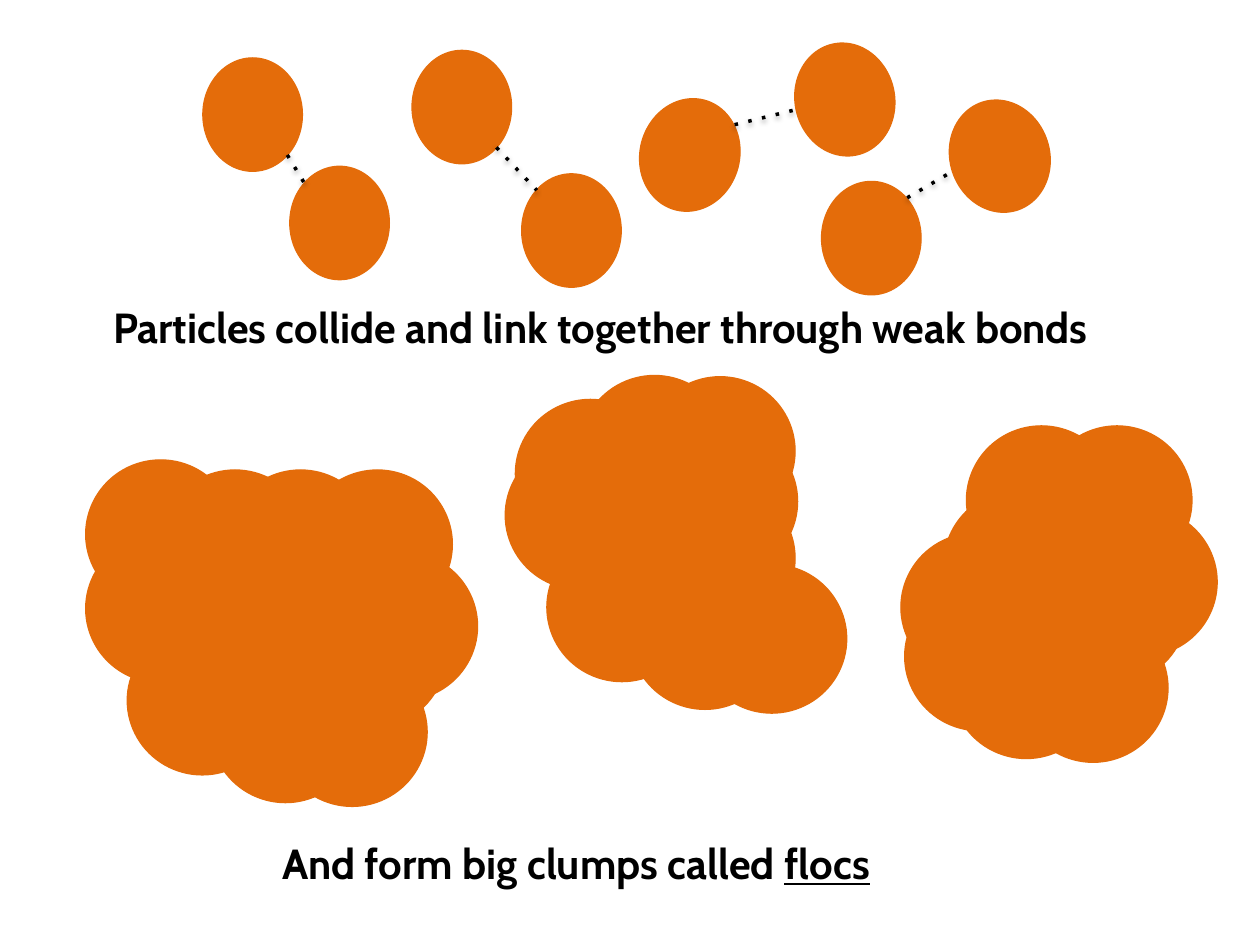
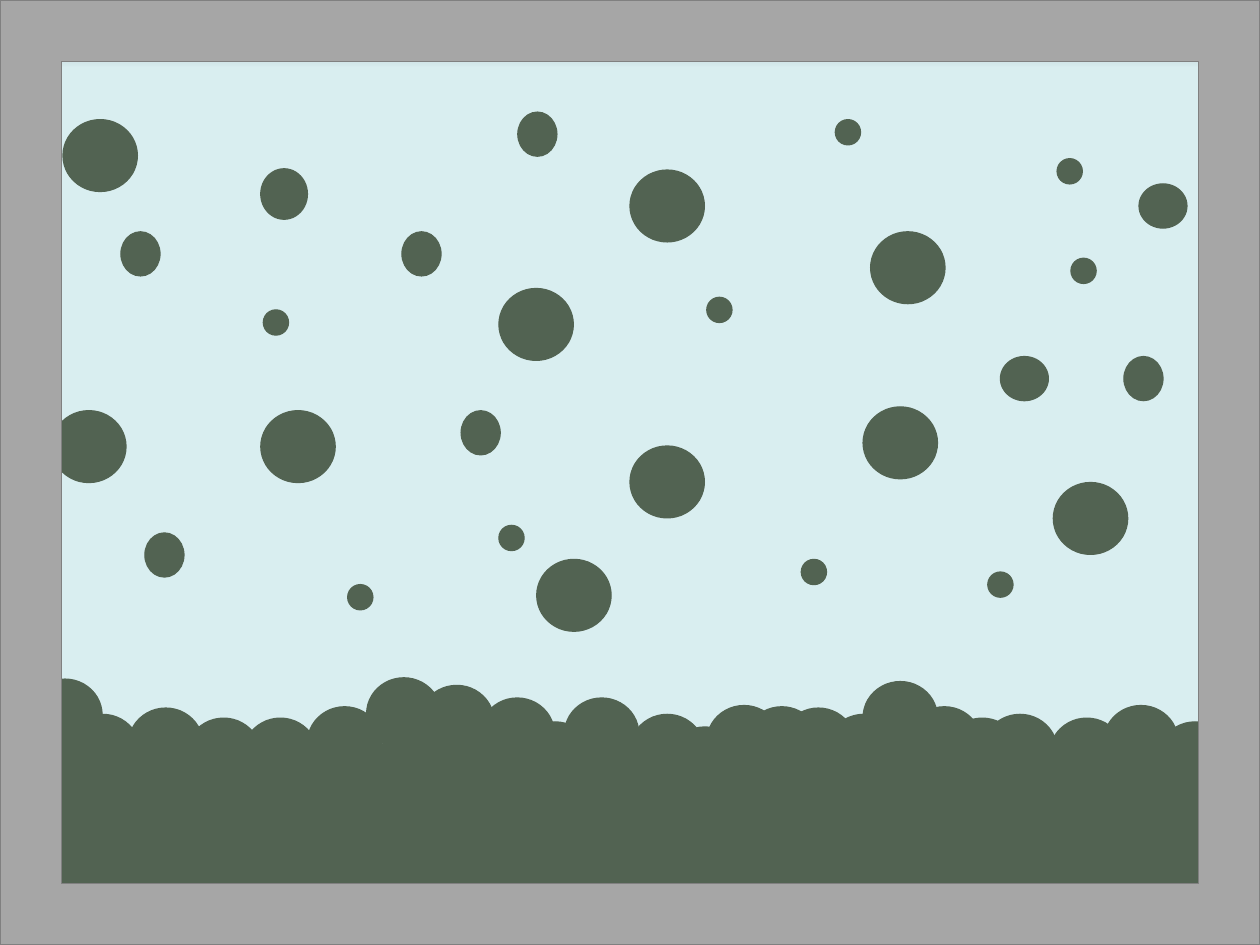
import lxml.etree
import pptx
import pptx.dml.color
import pptx.enum.dml
import pptx.enum.shapes
import pptx.enum.text
import pptx.oxml.ns
import pptx.util

SCALE = 9144
qn = pptx.oxml.ns.qn
SHAPE = pptx.enum.shapes.MSO_SHAPE

PARTICLE = "E46C0A"
SLUDGE = "4A452A"
WATER = "8CF2FF"
FRAME = "A6A6A6"
FRAME_EDGE = "808080"
BLACK = "000000"
CAPTION = {"size": pptx.util.Pt(24), "name": "Cabin", "bold": True}
BOND_SHADOW = {"alpha": 38, "blur": 3.1, "dist": 1.6}
PANEL_SHADOW = {"alpha": 35, "blur": 3.1, "dist": 1.8}


def px(n):
    return pptx.util.Emu(n * SCALE)


def rgb(value):
    return pptx.dml.color.RGBColor.from_string(value)


class Deck:
    def __init__(self, width, height):
        self.prs = pptx.Presentation()
        self.prs.slide_width, self.prs.slide_height = px(width), px(height)
        self.s = None

    def slide(self):
        self.s = self.prs.slides.add_slide(self.prs.slide_layouts[6])

    def shadow(self, sp, alpha, blur, dist):
        spPr = sp._element.spPr
        effects = spPr.find(qn("a:effectLst"))
        if effects is None:
            effects = lxml.etree.SubElement(spPr, qn("a:effectLst"))
        outer = lxml.etree.SubElement(
            effects, qn("a:outerShdw"), blurRad=str(pptx.util.Pt(blur)),
            dist=str(pptx.util.Pt(dist)), dir="5400000", rotWithShape="0")
        color = lxml.etree.SubElement(outer, qn("a:srgbClr"), val=BLACK)
        lxml.etree.SubElement(color, qn("a:alpha"), val=str(alpha * 1000))

    def shape(self, kind, x, y, w, h, fill, line=None, rotation=0, alpha=None, shadow=None):
        sp = self.s.shapes.add_shape(kind, px(x), px(y), px(w), px(h))
        sp.rotation = rotation
        sp.shadow.inherit = False
        sp.fill.solid()
        sp.fill.fore_color.rgb = rgb(fill)
        sp.line.color.rgb = rgb(line or fill)
        sp.line.width = pptx.util.Pt(0.75)
        if alpha is not None:
            color = sp._element.spPr.find(qn("a:solidFill"))[0]
            lxml.etree.SubElement(color, qn("a:alpha"), val=str(alpha * 1000))
        if shadow:
            self.shadow(sp, **shadow)
        return sp

    def ellipses(self, size, places, fill):
        for x, y in places:
            self.shape(SHAPE.OVAL, x, y, *size, fill)

    def bond(self, x1, y1, x2, y2):
        cn = self.s.shapes.add_connector(
            pptx.enum.shapes.MSO_CONNECTOR.STRAIGHT, px(x1), px(y1), px(x2), px(y2))
        cn.line.color.rgb = rgb(BLACK)
        cn.line.width = pptx.util.Pt(2)
        cn.line.dash_style = pptx.enum.dml.MSO_LINE.ROUND_DOT
        cn._element.spPr.find(qn("a:ln")).find(qn("a:prstDash")).set("val", "dot")
        self.shadow(cn, **BOND_SHADOW)

    def caption(self, x, y, w, h, *runs):
        tb = self.s.shapes.add_textbox(px(x), px(y), px(w), px(h))
        tf = tb.text_frame
        tf.word_wrap = True
        tf.auto_size = pptx.enum.text.MSO_AUTO_SIZE.SHAPE_TO_FIT_TEXT
        p = tf.paragraphs[0]
        for text, extra in runs:
            r = p.add_run()
            r.text = text
            r.font.color.rgb = rgb(BLACK)
            for key, value in {**CAPTION, **extra}.items():
                setattr(r.font, key, value)


PARTICLES = [
    (230, 132, 0), (161, 46, 0), (327, 40, 0), (414, 138, 0),
    (631, 34, 348.2), (508, 78, 14.8), (754, 79, 342.1), (652, 144, 0),
]
BONDS = [
    (228, 123, 242, 146), (394, 117, 426, 151),
    (720, 157, 756, 136), (583, 99, 632, 87),
]
FLOC_CORE = [(127, 458), (161, 424), (179, 373), (179, 458), (167, 519), (220, 522)]
FLOCS = [
    (0, 0, [(68, 365), (68, 424), (101, 398), (127, 373), (260, 438),
            (226, 404), (240, 373), (235, 460), (101, 497)]),
    (333, -74, [(409, 317), (401, 350), (434, 324), (460, 298), (514, 339), (434, 423)]),
    (588, -35, [(847, 403), (814, 369), (827, 338), (823, 425), (718, 462)]),
]
SLUDGE_TOP = [
    (780, 567), (720, 561), (685, 541), (620, 562), (656, 567), (193, 570), (148, 570),
    (102, 562), (22, 539), (52, 567), (0, 562), (876, 560), (833, 570), (381, 554),
    (333, 544), (291, 538), (304, 583), (244, 561), (750, 570), (919, 573), (530, 577),
    (591, 561), (500, 567), (448, 554), (561, 560), (411, 573), (939, 573),
]
LARGE = (59, 57)
SUSPENDED = {
    LARGE: [(685, 323), (500, 354), (207, 326), (836, 383), (396, 229), (41, 326),
            (691, 184), (500, 135), (426, 444), (50, 95)],
    (37, 40): [(207, 134)],
    (38, 35): [(794, 283), (904, 146)],
    (31, 35): [(96, 184), (115, 423), (411, 89), (366, 326), (892, 283), (319, 184)],
    (20, 20): [(209, 246), (396, 417), (839, 126), (636, 444), (561, 236), (276, 464),
               (663, 95), (850, 205), (784, 454)],
}


def floc_slide(deck):
    deck.slide()
    for x, y, rotation in PARTICLES:
        deck.shape(SHAPE.OVAL, x, y, 79, 90, PARTICLE, rotation=rotation)
    deck.caption(80, 234, 836, 50,
                 ("Particles collide and link together through weak bonds", {}))
    for dx, dy, edge in FLOCS:
        core = [(x + dx, y + dy) for x, y in FLOC_CORE]
        deck.ellipses((119, 118), core + edge, PARTICLE)
    deck.caption(214, 660, 492, 50,
                 ("And form big clumps called ", {}), ("flocs", {"underline": True}))
    for ends in BONDS:
        deck.bond(*ends)


def settling_slide(deck):
    deck.slide()
    deck.shape(SHAPE.RECTANGLE, 0, 591, 1000, 159, SLUDGE, shadow=PANEL_SHADOW)
    deck.ellipses(LARGE, SLUDGE_TOP, SLUDGE)
    for size, places in SUSPENDED.items():
        deck.ellipses(size, places, SLUDGE)
    deck.shape(SHAPE.RECTANGLE, 41, 46, 915, 662, WATER, alpha=20, shadow=PANEL_SHADOW)
    frame = deck.shape(SHAPE.FRAME, 0, 0, 1000, 750, FRAME, line=FRAME_EDGE)
    frame.adjustments[0] = 0.065


def main():
    deck = Deck(1000, 750)
    floc_slide(deck)
    settling_slide(deck)
    deck.prs.save("out.pptx")


if __name__ == "__main__":
    main()
